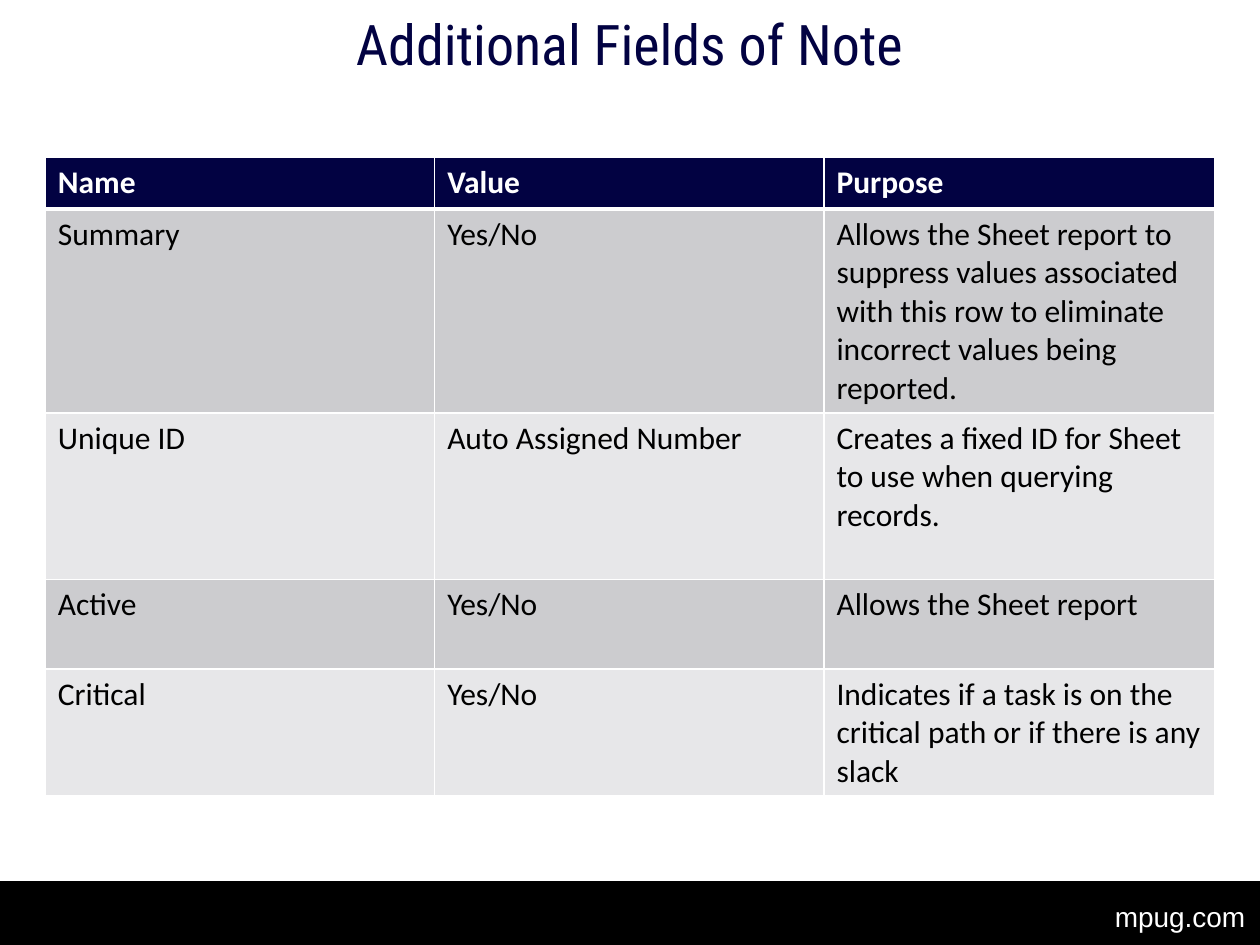
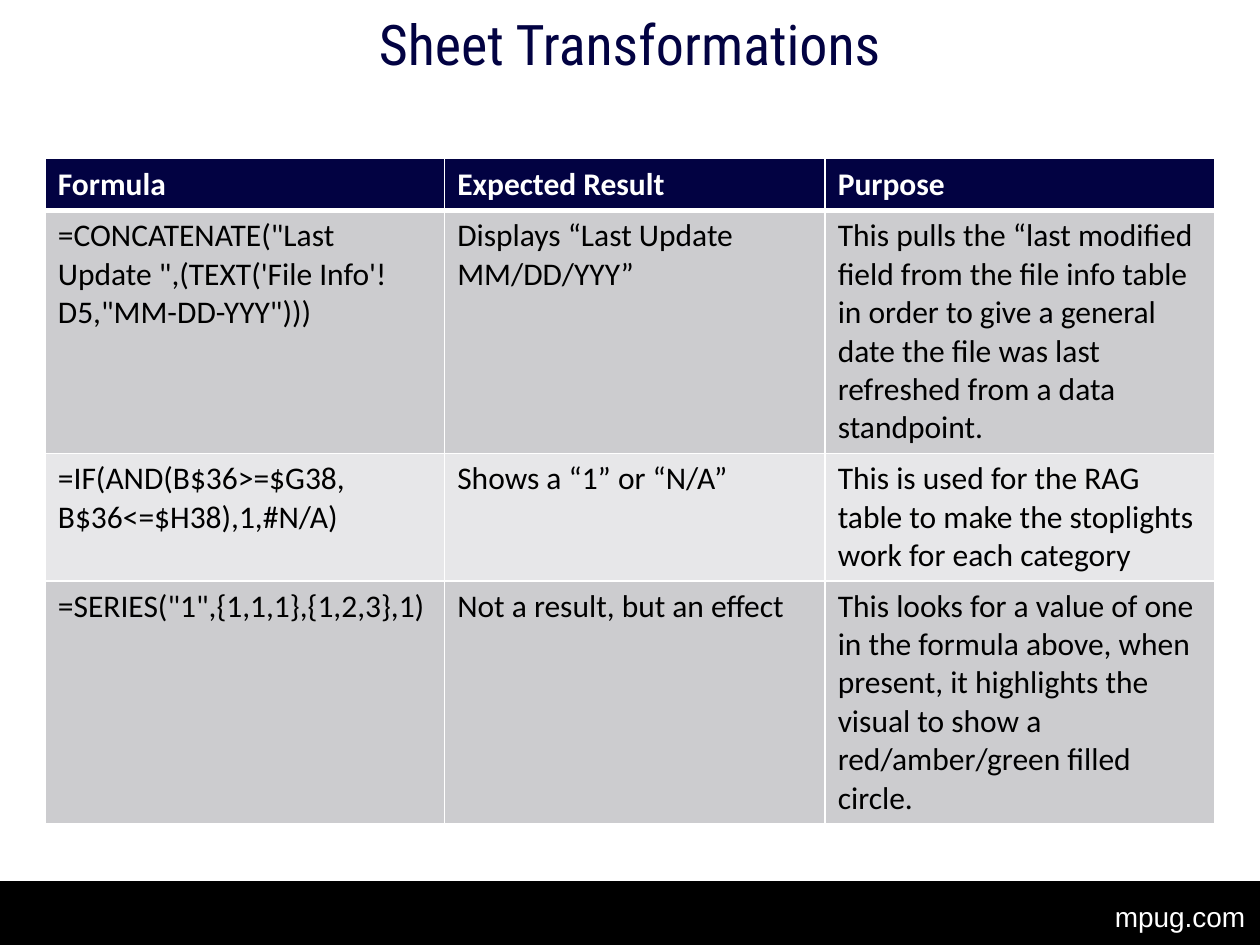
from dataclasses import dataclass

from lxml import etree
from pptx import Presentation
from pptx.dml.color import RGBColor
from pptx.enum.shapes import MSO_SHAPE
from pptx.enum.text import MSO_ANCHOR, MSO_AUTO_SIZE, PP_ALIGN
from pptx.oxml.ns import qn
from pptx.slide import Slide
from pptx.table import _Cell
from pptx.text.text import _Paragraph
from pptx.util import Inches, Pt

RECT = MSO_SHAPE.RECTANGLE
MIDDLE = MSO_ANCHOR.MIDDLE
CENTER = PP_ALIGN.CENTER
NO_FIT = MSO_AUTO_SIZE.NONE
TITLE_ONLY = 5

NAVY, WHITE, BLACK = "020242", "FFFFFF", "000000"
BANDS = ("CCCCCF", "E7E7E9")
LEFT, WIDTH = 0.36, 9.28

TITLE = {"name": "Roboto Condensed", "size": Pt(32), "bold": False}
FOOTER = {"name": "Arial", "size": Pt(16)}
HEAD = {"name": "Calibri", "size": Pt(18), "bold": True}
BODY = HEAD | {"bold": False}


@dataclass
class Page:
    title: str
    top: float
    cols: tuple[float, ...]
    heights: tuple[float, ...]
    rows: tuple[tuple[str, ...], ...]


PAGES = (
    Page(
        "Additional Fields of Note", 1.25, (3.09, 3.09, 3.1),
        (0.41, 1.62, 1.32, 0.71, 1.01),
        (
            ("Name", "Value", "Purpose"),
            ("Summary", "Yes/No",
             "Allows the Sheet report to suppress values associated with this "
             "row to eliminate incorrect values being reported."),
            ("Unique ID", "Auto Assigned Number",
             "Creates a fixed ID for Sheet to use when querying records."),
            ("Active", "Yes/No", "Allows the Sheet report"),
            ("Critical", "Yes/No",
             "Indicates if a task is on the critical path or if there is any slack"),
        ),
    ),
    Page(
        "Sheet Transformations", 1.26, (3.17, 3.02, 3.09),
        (0.41, 1.93, 1.01, 1.93),
        (
            ("Formula", "Expected Result", "Purpose"),
            ("=CONCATENATE(\"Last Update \",(TEXT('File Info'!D5,\"MM-DD-YYY\")))",
             "Displays “Last Update MM/DD/YYY”",
             "This pulls the “last modified field from the file info table in "
             "order to give a general date the file was last refreshed from a "
             "data standpoint."),
            ("=IF(AND(B$36>=$G38, B$36<=$H38),1,#N/A)",
             "Shows a “1” or “N/A”",
             "This is used for the RAG table to make the stoplights work for "
             "each category"),
            ('=SERIES("1",{1,1,1},{1,2,3},1)',
             "Not a result, but an effect",
             "This looks for a value of one in the formula above, when present, "
             "it highlights the visual to show a red/amber/green filled circle."),
        ),
    ),
)


def paint(part, tone: str) -> None:
    """Give a fill or a font a solid colour."""
    if hasattr(part, "solid"):
        part.solid()
        part = part.fore_color
    else:
        part = part.color
    part.rgb = RGBColor.from_string(tone)


def write(para: _Paragraph, text: str, style: dict, tone: str) -> None:
    para.text = text
    for key, value in style.items():
        setattr(para.font, key, value)
    paint(para.font, tone)


def add_title(slide: Slide, text: str) -> None:
    title = slide.shapes.title
    place = {"left": LEFT, "top": 0, "width": WIDTH, "height": 0.75}
    for key, value in place.items():
        setattr(title, key, Inches(value))
    frame = title.text_frame
    frame.auto_size = NO_FIT
    frame.vertical_anchor = MIDDLE
    para = frame.paragraphs[0]
    write(para, text, TITLE, NAVY)
    para.alignment = CENTER
    para.line_spacing = 0.9


def add_footer(slide: Slide) -> None:
    band = slide.shapes.add_shape(RECT, 0, Inches(7), Inches(10), Inches(0.5))
    band.shadow.inherit = False
    paint(band.fill, BLACK)
    paint(band.line.fill, BLACK)
    band.line.width = Pt(0.75)
    site = slide.shapes.add_textbox(
        Inches(8.75), Inches(7.09), Inches(1.25), Inches(0.37))
    site.text_frame.word_wrap = False
    write(site.text_frame.paragraphs[0], "mpug.com", FOOTER, WHITE)


def add_rules(cell: _Cell, top: float, low: float) -> None:
    """Rule the four sides of a cell in white; call before filling it."""
    props = cell._tc.get_or_add_tcPr()
    for side, width in (("L", 1), ("R", 1), ("T", top), ("B", low)):
        line = etree.SubElement(props, qn(f"a:ln{side}"), w=str(Pt(width)))
        fill = etree.SubElement(line, qn("a:solidFill"))
        etree.SubElement(fill, qn("a:srgbClr"), val=WHITE)


def add_grid(slide: Slide, page: Page) -> None:
    grid = slide.shapes.add_table(
        len(page.rows), len(page.cols), Inches(LEFT), Inches(page.top),
        Inches(WIDTH), Inches(sum(page.heights))).table
    grid.horz_banding = False
    for col, width in zip(grid.columns, page.cols):
        col.width = Inches(width)
    for r, (row, height) in enumerate(zip(page.rows, page.heights)):
        grid.rows[r].height = Inches(height)
        head = r == 0
        for c, text in enumerate(row):
            cell = grid.cell(r, c)
            add_rules(cell, 3 if r == 1 else 1, 3 if head else 1)
            paint(cell.fill, NAVY if head else BANDS[(r - 1) % 2])
            write(cell.text_frame.paragraphs[0], text,
                  HEAD if head else BODY, WHITE if head else BLACK)


def main() -> None:
    deck = Presentation()
    deck.slide_width, deck.slide_height = Inches(10), Inches(7.5)
    for page in PAGES:
        slide = deck.slides.add_slide(deck.slide_layouts[TITLE_ONLY])
        paint(slide.background.fill, WHITE)
        add_footer(slide)
        add_title(slide, page.title)
        add_grid(slide, page)
    deck.save("out.pptx")


if __name__ == "__main__":
    main()
